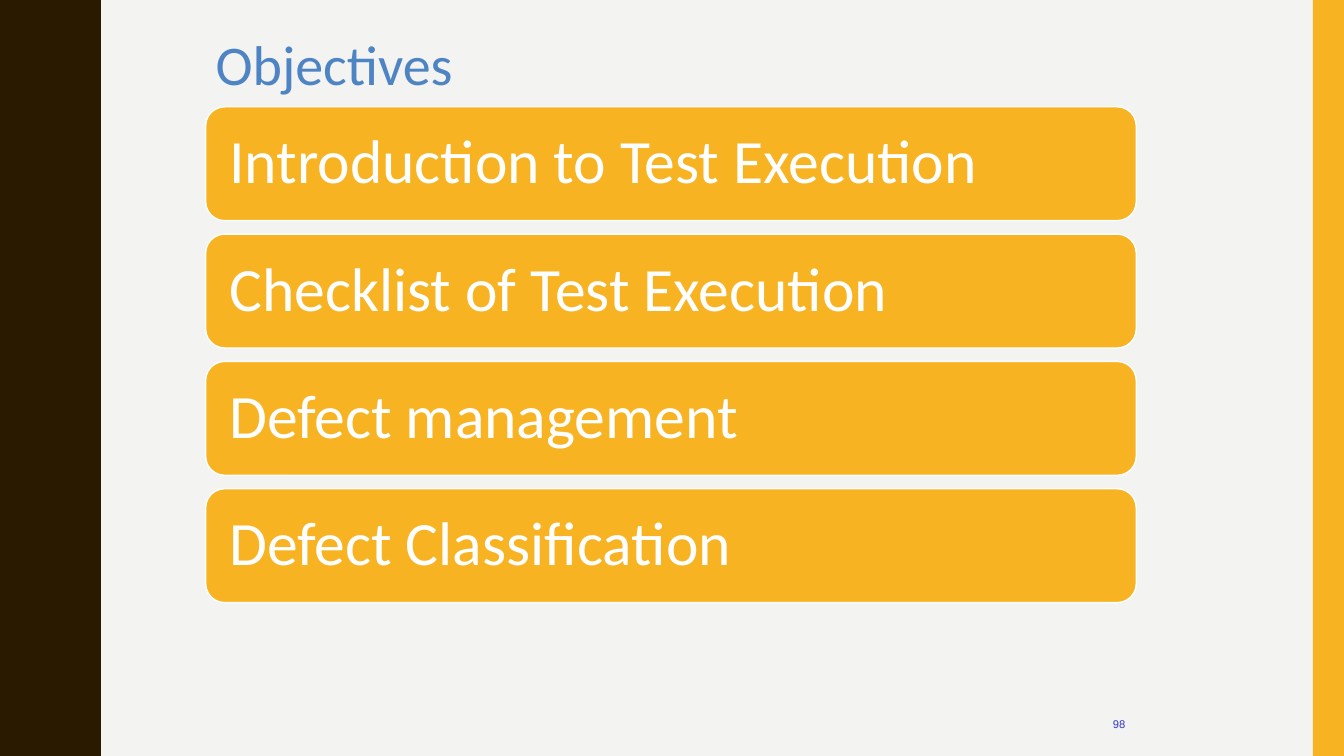
from pptx import Presentation
from pptx.dml.color import RGBColor
from pptx.enum.shapes import MSO_SHAPE
from pptx.enum.text import MSO_ANCHOR, PP_ALIGN
from pptx.util import Inches, Pt

PAPER = RGBColor(0xF3, 0xF3, 0xF2)
BROWN = RGBColor(0x2A, 0x1A, 0x00)
AMBER = RGBColor(0xF8, 0xB3, 0x23)
WHITE = RGBColor(0xFF, 0xFF, 0xFF)
TITLE_BLUE = RGBColor(0x4E, 0x84, 0xC4)
NUMBER_BLUE = RGBColor(0x33, 0x33, 0xCC)

WIDTH, HEIGHT = 13.33, 7.5
COLUMN_LEFT, COLUMN_WIDTH = 2.04, 9.23
ROW_TOP, ROW_HEIGHT, ROW_PITCH = 1.06, 1.13, 1.263
EDGE_WIDTH = 0.31
WAVE_COUNT = 5
WAVE_LENGTH = HEIGHT / WAVE_COUNT

deck = Presentation()
deck.slide_width = Inches(WIDTH)
deck.slide_height = Inches(HEIGHT)
page = deck.slides.add_slide(deck.slide_layouts[6])
page.background.fill.solid()
page.background.fill.fore_color.rgb = PAPER


def write_text(box, text, size, color, font="Calibri", anchor=MSO_ANCHOR.MIDDLE,
               inset_x=0.1, inset_y=0.05, line_spacing=1.0):
    frame = box.text_frame
    frame.word_wrap = True
    frame.vertical_anchor = anchor
    frame.margin_left = frame.margin_right = Inches(inset_x)
    frame.margin_top = frame.margin_bottom = Inches(inset_y)
    para = frame.paragraphs[0]
    para.alignment = PP_ALIGN.LEFT
    para.line_spacing = line_spacing
    span = para.add_run()
    span.text = text
    span.font.size = Pt(size)
    span.font.name = font
    span.font.color.rgb = color


crest = [(0.78, 0), (0.78, 0.07), (0.79, 0.14), (0.8, 0.2), (0.81, 0.25),
         (0.83, 0.29), (0.85, 0.33), (0.87, 0.38), (0.89, 0.42), (0.91, 0.46),
         (0.93, 0.5), (0.95, 0.55), (0.96, 0.61), (0.97, 0.68), (0.97, 0.75)]
wave = crest + [(x, WAVE_LENGTH - y) for x, y in reversed(crest[:-1])]
outline = [(x, y + index * WAVE_LENGTH) for index in range(WAVE_COUNT) for x, y in wave]

builder = page.shapes.build_freeform(0, 0, scale=Inches(1))
builder.add_line_segments(outline + [(0, HEIGHT)], close=True)
wavy_band = builder.convert_to_shape()
wavy_band.shadow.inherit = False
wavy_band.fill.solid()
wavy_band.fill.fore_color.rgb = BROWN
wavy_band.line.fill.background()

edge = page.shapes.add_shape(MSO_SHAPE.RECTANGLE, Inches(WIDTH - EDGE_WIDTH), 0,
                             Inches(EDGE_WIDTH), Inches(HEIGHT))
edge.shadow.inherit = False
edge.fill.solid()
edge.fill.fore_color.rgb = AMBER
edge.line.fill.background()

page_number = page.shapes.add_textbox(Inches(10.94), Inches(7.07), Inches(0.41), Inches(0.4))
write_text(page_number, "98", 8, NUMBER_BLUE, font="Arial", anchor=MSO_ANCHOR.TOP)

title = page.shapes.add_textbox(Inches(COLUMN_LEFT), Inches(0.3),
                                Inches(COLUMN_WIDTH), Inches(0.65))
write_text(title, "Objectives", 40, TITLE_BLUE)

objectives = ["Introduction to Test Execution", "Checklist of Test Execution",
              "Defect management", "Defect Classification"]
for row, objective in enumerate(objectives):
    card = page.shapes.add_shape(MSO_SHAPE.ROUNDED_RECTANGLE, Inches(COLUMN_LEFT),
                                 Inches(ROW_TOP + row * ROW_PITCH),
                                 Inches(COLUMN_WIDTH), Inches(ROW_HEIGHT))
    card.shadow.inherit = False
    card.fill.solid()
    card.fill.fore_color.rgb = AMBER
    card.line.color.rgb = WHITE
    card.line.width = Pt(1)
    write_text(card, objective, 44, WHITE, inset_x=0.18, inset_y=0.18, line_spacing=0.9)

deck.save("out.pptx")
